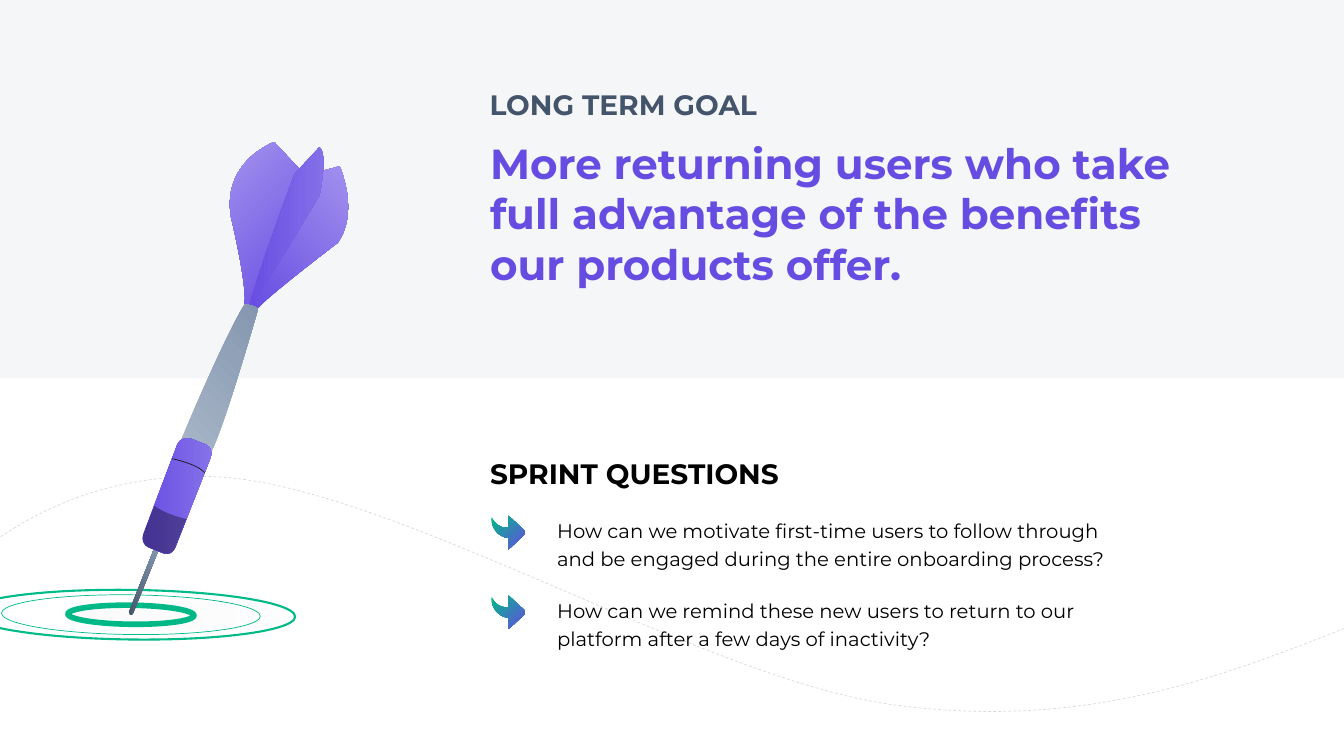
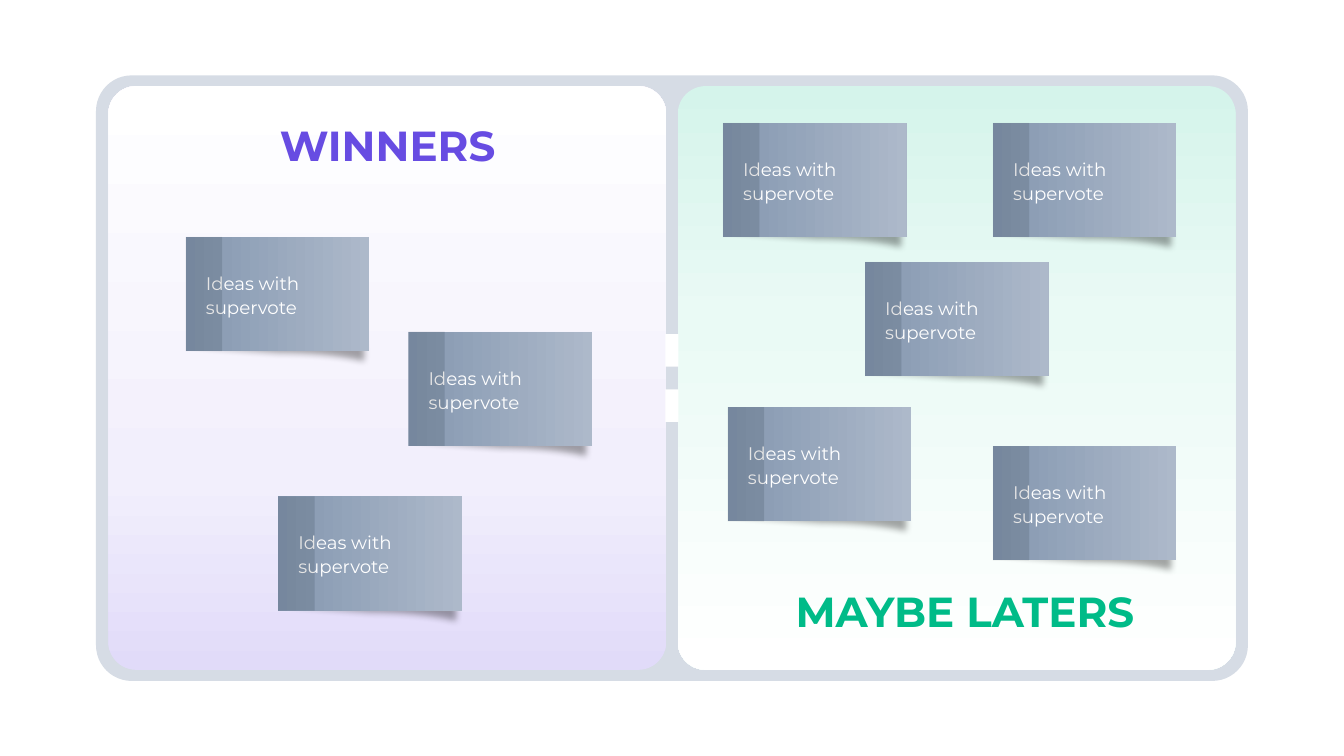
from pptx import Presentation
from pptx.dml.color import RGBColor
from pptx.enum.dml import MSO_LINE
from pptx.enum.shapes import MSO_SHAPE
from pptx.enum.text import MSO_ANCHOR, PP_ALIGN
from pptx.oxml import parse_xml
from pptx.oxml.ns import nsdecls, qn
from pptx.util import Cm, Pt

RECT, ROUND_RECT, OVAL = MSO_SHAPE.RECTANGLE, MSO_SHAPE.ROUNDED_RECTANGLE, MSO_SHAPE.OVAL
LEFT, CENTER = PP_ALIGN.LEFT, PP_ALIGN.CENTER
MIDDLE = MSO_ANCHOR.MIDDLE
DASH = MSO_LINE.DASH

FONT = "Montserrat"
PURPLE, MID_PURPLE, LILAC = "674CE2", "8672E9", "A494EE"
GREEN, SLATE, STEEL, SILVER = "00BB88", "44546A", "8497B0", "ADB9CA"
INK, BLACK, WHITE = "1A171B", "000000", "FFFFFF"
BAND, FRAME, CURL_GREY = "F4F6F8", "D6DCE5", "D0CECE"

# Focus of a radial gradient: left, top, right, bottom insets in percent
TOP_LEFT, TOP_RIGHT, BOTTOM_RIGHT = (0, 0, 100, 100), (100, 0, 0, 100), (100, 100, 0, 0)

# Outlines in cm: a pair is a corner, six numbers are a Bezier curve
WAVE = [(34.34, 15.65), (30.91, 17.02, 27.48, 18.39, 22.66, 17.78),
        (17.81, 17.2, 9.73, 12.12, 5.31, 12.01), (0.89, 11.91, -1.47, 14.53, -3.84, 17.15)]
LEFT_FLIGHT = [(7.62, 4.34), (6.91, 3.58), (6.91, 3.58, 5.59, 4.06, 5.82, 5.46),
               (5.82, 5.46, 6.27, 7.34, 6.15, 7.72), (6.32, 7.77)]
RIGHT_FLIGHT = [(7.82, 4.39), (8.56, 4.19), (8.56, 4.19, 9.07, 5.33, 8.51, 6.12),
                (8.51, 6.12, 6.43, 7.7, 6.45, 7.85), (6.27, 7.82)]
MIDDLE_FLIGHT = [(8.05, 3.71), (7.42, 4.39), (7.42, 4.39, 6.22, 7.62, 6.27, 7.82),
                 (6.32, 7.77), (8.05, 4.93), (8.05, 4.93, 8.28, 3.89, 8.05, 3.71)]
NEEDLE = [(3.35, 15.47), (3.3, 15.54, 3.23, 15.47, 3.25, 15.42), (3.89, 13.82), (3.99, 13.87)]
SHAFT = [(4.52, 11.2), (4.52, 11.2, 5.64, 8.51, 6.17, 7.67), (6.17, 7.67, 6.48, 7.7, 6.5, 7.8),
         (6.5, 7.8, 5.59, 11, 5.26, 11.51), (4.93, 11.99, 4.52, 11.2, 4.52, 11.2)]
GRIP = [(4.42, 13.79), (4.37, 13.92, 4.24, 14, 4.11, 13.94), (3.73, 13.79),
        (3.61, 13.74, 3.56, 13.59, 3.61, 13.46), (4.47, 11.2),
        (4.52, 11.07, 4.67, 11.02, 4.8, 11.05), (5.18, 11.2),
        (5.31, 11.25, 5.36, 11.4, 5.31, 11.53)]
GRIP_END = [(3.61, 13.46), (3.56, 13.59, 3.61, 13.74, 3.73, 13.79), (4.11, 13.94),
            (4.24, 14, 4.37, 13.92, 4.42, 13.79), (4.7, 13.08),
            (4.32, 13, 4.04, 12.85, 3.89, 12.75)]
GROOVE = [(4.34, 11.56), (4.34, 11.56, 4.95, 11.68, 5.16, 11.91)]
ARROW = [(0.84, 0.46), (0.43, 0.84), (0.43, 0.56), (0.18, 0.53, 0, 0.33, 0, 0.08), (0, 0.03),
         (0.05, 0.18, 0.2, 0.3, 0.38, 0.3), (0.43, 0.28), (0.43, 0), (0.84, 0.38)]
CURL = [(0.23, 2.46), (4.47, 2.46), (4.47, 2.87), (4.45, 2.87),
        (3.91, 2.74, 3.18, 2.67, 2.36, 2.67), (1.65, 2.62, -0.13, 2.51, 0.23, 2.46)]

QUESTIONS = [
    "How can we motivate first-time users to follow through and be engaged "
    "during the entire onboarding process?",
    "How can we remind these new users to return to our platform after a few days of inactivity?",
]
NOTE_W, NOTE_H = 4.63, 2.88
NOTES = [(25.02, 3.1), (21.8, 6.6), (18.22, 3.1), (25.02, 11.24),
         (10.29, 8.36), (7.01, 12.51), (4.68, 5.97), (18.34, 10.26)]


def color(hex_code):
    return RGBColor.from_string(hex_code)


def set_alpha(element, *percents):
    """Give each colour in turn its opacity."""
    for tint, percent in zip(element.iter(qn("a:srgbClr")), percents):
        tint.append(parse_xml(f'<a:alpha {nsdecls("a")} val="{percent * 1000}"/>'))


def set_gradient(shape, stops, angle=0, focus=None):
    """Fill with (percent, colour) stops, along an angle or out of a focus."""
    shape.fill.gradient()
    gradient = shape._element.spPr.find(qn("a:gradFill"))
    for child in list(gradient):
        gradient.remove(child)
    marks = "".join(f'<a:gs pos="{pos * 1000}"><a:srgbClr val="{tint}"/></a:gs>'
                    for pos, tint in stops)
    gradient.append(parse_xml(f'<a:gsLst {nsdecls("a")}>{marks}</a:gsLst>'))
    if focus:
        edges = " ".join(f'{side}="{inset * 1000}"' for side, inset in zip("ltrb", focus))
        direction = f'<a:path {nsdecls("a")} path="circle"><a:fillToRect {edges}/></a:path>'
    else:
        direction = f'<a:lin {nsdecls("a")} ang="{angle * 60000}" scaled="0"/>'
    gradient.append(parse_xml(direction))


def style(shape, fill=None, line=None, width=0.75, alpha=None):
    shape.shadow.inherit = False
    if fill:
        shape.fill.solid()
        shape.fill.fore_color.rgb = color(fill)
    else:
        shape.fill.background()
    if line:
        shape.line.color.rgb = color(line)
        shape.line.width = Pt(width)
    else:
        shape.line.fill.background()
    if alpha:
        set_alpha(shape._element.spPr, alpha)
    return shape


def add_block(shapes, kind, left, top, width, height, radius=None, **look):
    shape = shapes.add_shape(kind, Cm(left), Cm(top), Cm(width), Cm(height))
    if radius:
        shape.adjustments[0] = radius
    return style(shape, **look)


def add_outline(shapes, outline, left=0, top=0, closed=True, **look):
    """Build with straight segments, then join each curve's three into a Bezier."""
    points = [(Cm(left + x), Cm(top + y))
              for segment in outline for x, y in zip(segment[::2], segment[1::2])]
    builder = shapes.build_freeform(*points[0])
    builder.add_line_segments(points[1:], close=closed)
    shape = builder.convert_to_shape()
    straight = iter(list(shape._element.iter(qn("a:lnTo"))))
    for segment in outline[1:]:
        first = next(straight)
        if len(segment) == 6:
            curve = parse_xml(f'<a:cubicBezTo {nsdecls("a")}/>')
            first.addprevious(curve)
            for piece in (first, next(straight), next(straight)):
                curve.append(piece[0])
                piece.getparent().remove(piece)
    return style(shape, **look)


def write(frame, text, size, tint, bold=False, align=LEFT, spacing=None):
    paragraph = frame.paragraphs[0]
    paragraph.text = text
    paragraph.alignment = align
    if spacing:
        paragraph.line_spacing = Pt(spacing)
    font = paragraph.font
    font.name, font.size, font.bold = FONT, Pt(size), bold
    font.color.rgb = color(tint)


def add_text(slide, text, left, top, width, height, size, tint, wrap=True, **look):
    box = slide.shapes.add_textbox(Cm(left), Cm(top), Cm(width), Cm(height))
    box.text_frame.word_wrap = wrap
    write(box.text_frame, text, size, tint, **look)


def add_target(shapes):
    center_x, center_y = 3.3, 15.49
    for width, height, weight in [(8.28, 1.25, 1.5), (6.52, 1, 0.5), (3.18, 0.48, 4)]:
        ring = add_block(shapes, OVAL, center_x - width / 2, center_y - height / 2,
                         width, height, line=GREEN, width=weight) if weight is None else None
        ring = shapes.add_shape(OVAL, Cm(center_x - width / 2), Cm(center_y - height / 2),
                                Cm(width), Cm(height))
        style(ring, line=GREEN, width=weight).rotation = 0.7


def add_dart(shapes):
    parts = [
        (LEFT_FLIGHT, LILAC, PURPLE, TOP_LEFT),
        (RIGHT_FLIGHT, LILAC, PURPLE, TOP_RIGHT),
        (MIDDLE_FLIGHT, PURPLE, MID_PURPLE, None),
        (NEEDLE, STEEL, SLATE, TOP_RIGHT),
        (SHAFT, STEEL, SILVER, TOP_RIGHT),
        (GRIP, PURPLE, MID_PURPLE, None),
    ]
    for outline, start, end, focus in parts:
        set_gradient(add_outline(shapes, outline), [(0, start), (100, end)], focus=focus)
    add_outline(shapes, GRIP_END, fill=BLACK, alpha=35)
    add_outline(shapes, GROOVE, closed=False, line=INK, width=0.5)


def add_question(slide, text, top):
    add_text(slide, text, 13.79, top, 14.68, 1.63, 14, BLACK, spacing=20)
    arrow = add_outline(slide.shapes, ARROW, 12.39, top + 0.15)
    set_gradient(arrow, [(0, PURPLE), (100, GREEN)], focus=BOTTOM_RIGHT)


def add_note(slide, left, top):
    shapes = slide.shapes.add_group_shape().shapes
    curl = add_outline(shapes, CURL, left, top, fill=CURL_GREY)
    curl._element.spPr.find(qn("a:effectLst")).append(parse_xml(
        f'<a:outerShdw {nsdecls("a")} blurRad="{Pt(5)}" dist="{Pt(7)}" dir="5400000">'
        f'<a:srgbClr val="{BLACK}"><a:alpha val="34000"/></a:srgbClr></a:outerShdw>'))
    card = add_block(shapes, RECT, left, top, NOTE_W, NOTE_H)
    set_gradient(card, [(0, STEEL), (100, SILVER)])
    frame = card.text_frame
    frame.word_wrap = True
    frame.vertical_anchor = MIDDLE
    frame.margin_left = frame.margin_right = Cm(0.51)
    write(frame, "Ideas with supervote", 13, WHITE, spacing=17)
    add_block(shapes, RECT, left, top, 0.92, NOTE_H, fill=BLACK, alpha=10)


def build_goal_slide(slide):
    shapes = slide.shapes
    wave = add_outline(shapes, WAVE, closed=False, line=BLACK, width=0.5, alpha=15)
    wave.line.dash_style = DASH
    add_target(shapes)
    add_block(shapes, RECT, 0, 0, 33.87, 9.53, fill=BAND)
    dart_shadow = add_block(shapes, OVAL, 1.7, 15.14, 8.48, 0.72)
    set_gradient(dart_shadow, [(0, INK), (70, INK)])
    set_alpha(dart_shadow._element.spPr, 2, 0)
    add_dart(shapes)
    add_text(slide, "LONG TERM GOAL", 12.09, 2.08, 7.32, 1.12, 20, SLATE, wrap=False, bold=True)
    add_text(slide, "More returning users who take full advantage of the benefits "
             "our products offer.", 12.1, 3.34, 18.47, 4.11, 30, PURPLE, bold=True)
    add_text(slide, "SPRINT QUESTIONS", 12.1, 11.38, 7.85, 1.12, 20, BLACK,
             wrap=False, bold=True)
    for row, question in enumerate(QUESTIONS):
        add_question(slide, question, 12.85 + row * 2.01)


def build_vote_slide(slide):
    shapes = slide.shapes
    add_block(shapes, ROUND_RECT, 2.42, 1.9, 29.03, 15.26, radius=0.059, fill=FRAME)
    panels = [
        (2.73, [(0, "E1DBF9"), (33, "F2EFFC"), (100, WHITE)], 270),
        (17.08, [(0, "D5F4EB"), (40, "EAFAF5"), (100, WHITE)], 90),
    ]
    for left, stops, angle in panels:
        panel = add_block(shapes, ROUND_RECT, left, 2.17, 14.06, 14.71, radius=0.05)
        set_gradient(panel, stops, angle)
    for top in (8.42, 9.81):
        add_block(shapes, RECT, 16.77, top, 0.33, 0.82, fill=WHITE)
    add_text(slide, "WINNERS", 6.76, 2.88, 6.02, 1.55, 30, PURPLE,
             wrap=False, bold=True, align=CENTER)
    add_text(slide, "MAYBE LATERS", 19.71, 14.63, 9.22, 1.55, 30, GREEN,
             wrap=False, bold=True, align=CENTER)
    for left, top in NOTES:
        add_note(slide, left, top)


def main():
    deck = Presentation()
    deck.slide_width, deck.slide_height = Cm(33.87), Cm(19.05)
    for build in (build_goal_slide, build_vote_slide):
        build(deck.slides.add_slide(deck.slide_layouts[6]))
    deck.save("out.pptx")


if __name__ == "__main__":
    main()
